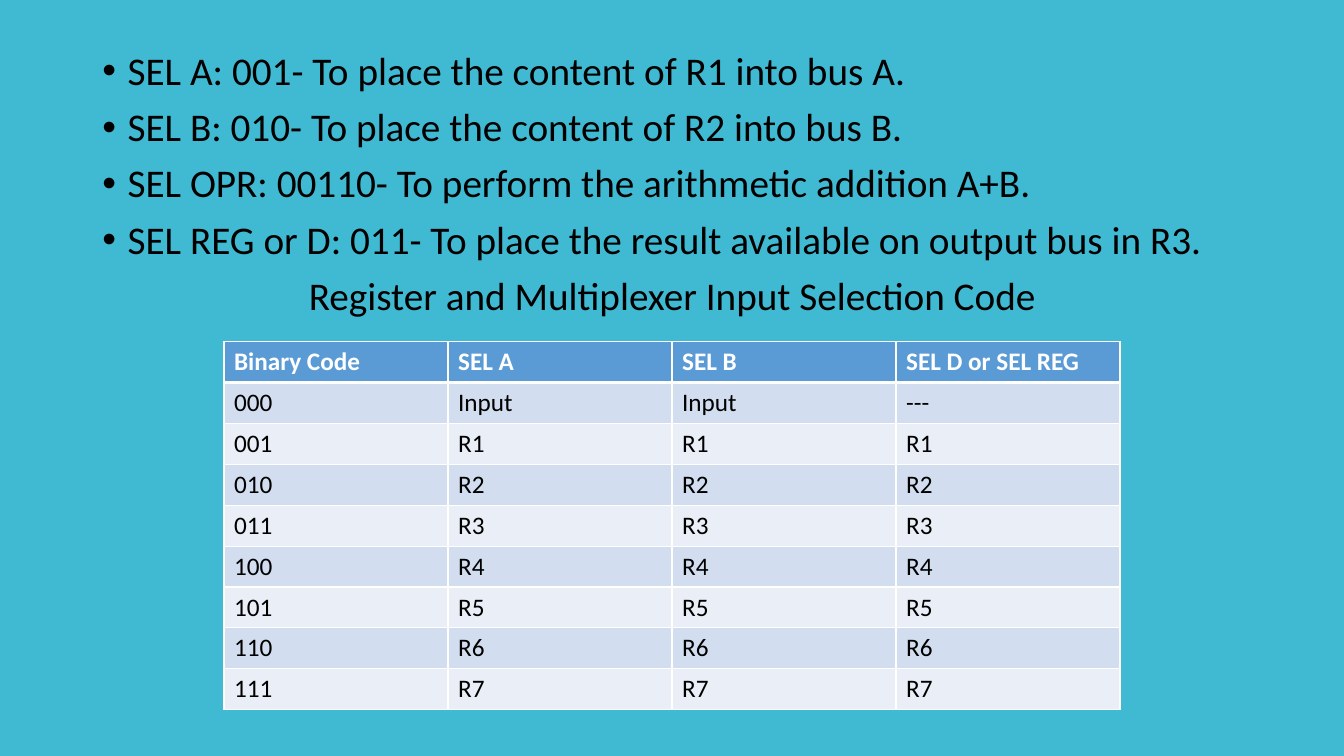
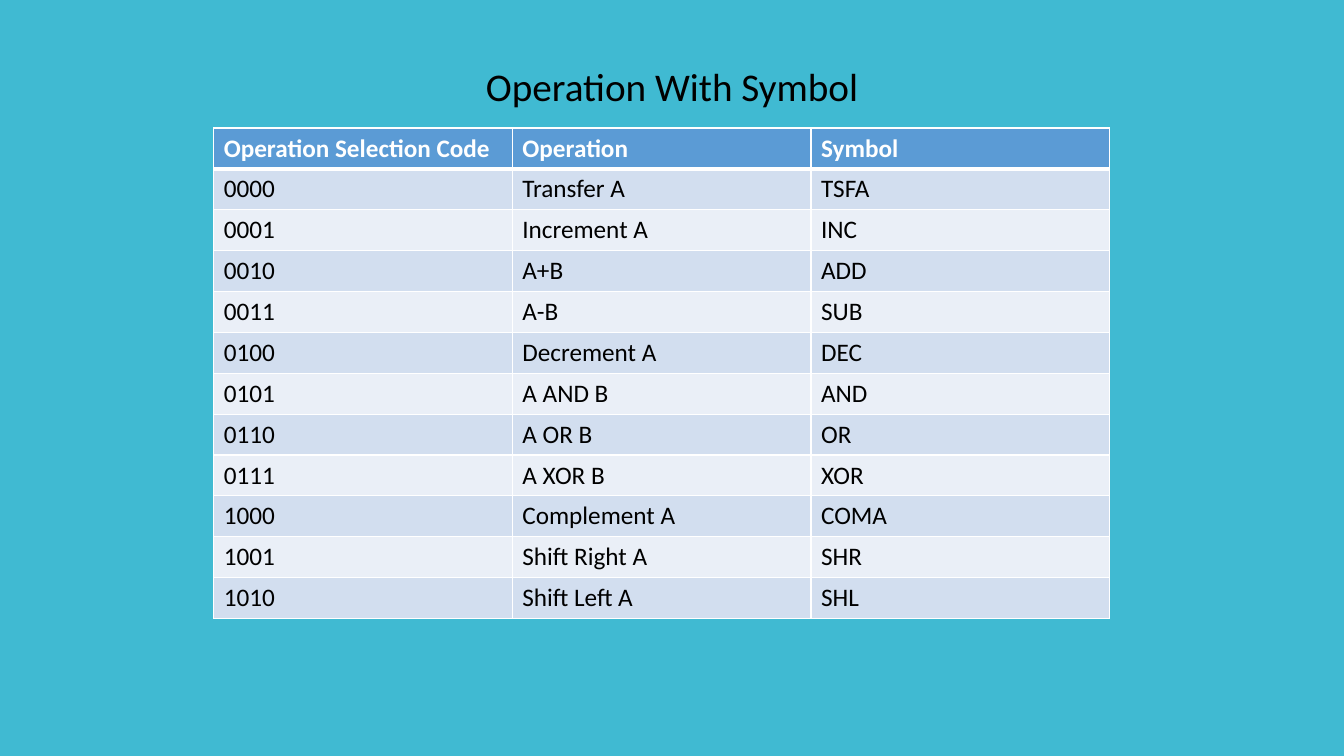
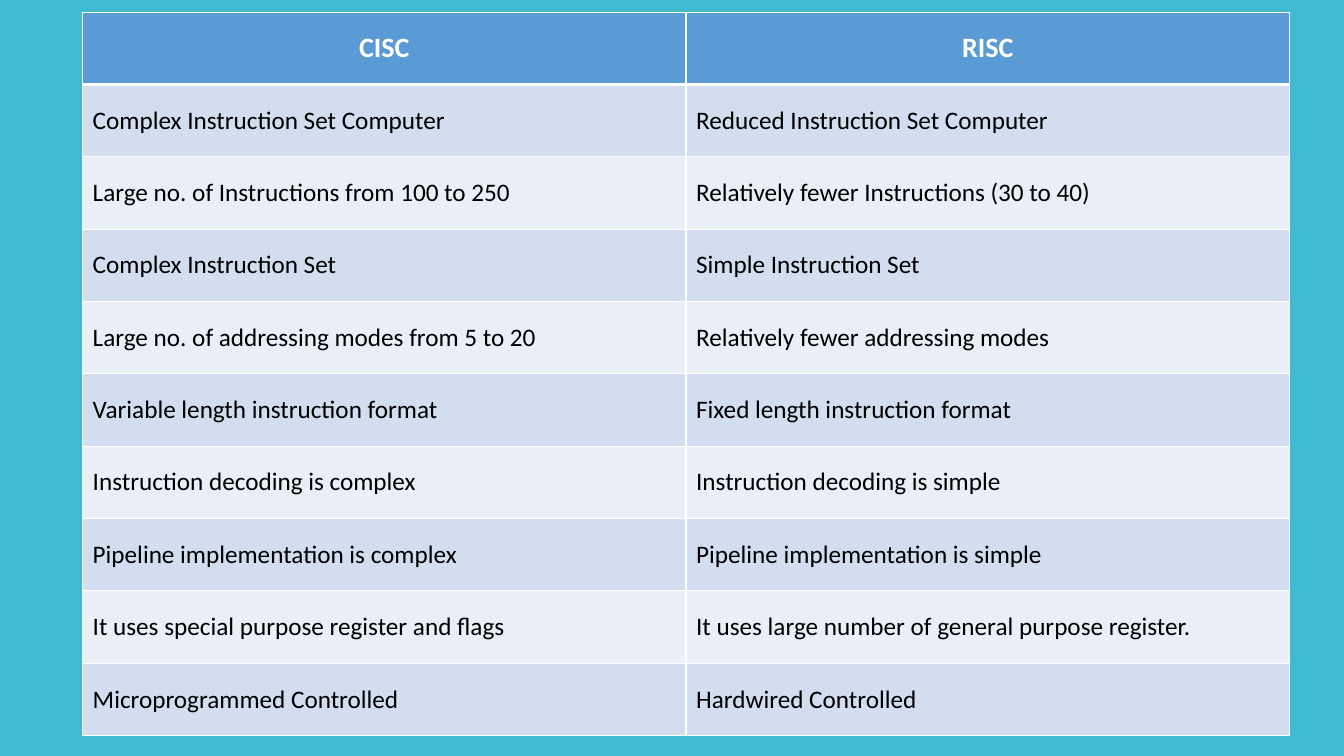
from lxml.etree import SubElement
from pptx import Presentation
from pptx.dml.color import RGBColor
from pptx.enum.text import MSO_ANCHOR, PP_ALIGN
from pptx.oxml import parse_xml
from pptx.oxml.ns import nsdecls, qn
from pptx.util import Inches, Pt

COLORS = {
    "background": "40BAD2",
    "header": "5B9BD5",
    "odd_row": "D2DEEF",
    "even_row": "EAEFF7",
    "light": "FFFFFF",
    "text": "000000",
}

REGISTER_CODES = [
    ("Binary Code", "SEL A", "SEL B", "SEL D or SEL REG"),
    ("000", "Input", "Input", "---"),
    *((f"{number:03b}", *[f"R{number}"] * 3) for number in range(1, 8)),
]

OPERATIONS = [
    ("Transfer A", "TSFA"),
    ("Increment A", "INC"),
    ("A+B", "ADD"),
    ("A-B", "SUB"),
    ("Decrement A", "DEC"),
    ("A AND B", "AND"),
    ("A OR B", "OR"),
    ("A XOR B", "XOR"),
    ("Complement A", "COMA"),
    ("Shift Right A", "SHR"),
    ("Shift Left A", "SHL"),
]

OPERATION_CODES = [
    ("Operation Selection Code", "Operation", "Symbol"),
    *((f"{code:04b}", *operation) for code, operation in enumerate(OPERATIONS)),
]

ARCHITECTURES = [
    ("CISC", "RISC"),
    ("Complex Instruction Set Computer", "Reduced Instruction Set Computer"),
    ("Large no. of Instructions from 100 to 250", "Relatively fewer Instructions (30 to 40)"),
    ("Complex Instruction Set", "Simple Instruction Set"),
    ("Large no. of addressing modes from 5 to 20", "Relatively fewer addressing modes"),
    ("Variable length instruction format", "Fixed length instruction format"),
    ("Instruction decoding is complex", "Instruction decoding is simple"),
    ("Pipeline implementation is complex", "Pipeline implementation is simple"),
    ("It uses special purpose register and flags", "It uses large number of general purpose register."),
    ("Microprogrammed Controlled", "Hardwired Controlled"),
]


class Deck:
    """Shared style and current page; lengths are percentages of the slide's size."""

    font = "Calibri"
    body_size = 28
    cell_size = 18

    def __init__(self):
        self.presentation = Presentation()
        self.presentation.slide_width = Inches(13.33)
        self.presentation.slide_height = Inches(7.5)
        self.page = None

    def across(self, percent):
        return round(self.presentation.slide_width * percent / 100)

    def down(self, percent):
        return round(self.presentation.slide_height * percent / 100)

    def new_page(self):
        self.page = self.presentation.slides.add_slide(self.presentation.slide_layouts[6])
        fill = self.page.background.fill
        fill.solid()
        fill.fore_color.rgb = RGBColor.from_string(COLORS["background"])

    def span(self, para, text, size, color="text", bold=False):
        span = para.add_run()
        span.text = text
        span.font.name = self.font
        span.font.size = Pt(size)
        span.font.bold = bold
        span.font.color.rgb = RGBColor.from_string(COLORS[color])

    def bullet(self, para):
        properties = para._p.get_or_add_pPr()
        properties.set("marL", str(Inches(0.25)))
        properties.set("indent", str(-Inches(0.25)))
        SubElement(properties, qn("a:buFont"), typeface="Arial")
        SubElement(properties, qn("a:buChar"), char="•")

    def body(self, top, height, caption, points=()):
        """Add bulleted points followed by a centred caption."""
        box = self.page.shapes.add_textbox(
            self.across(6.88), self.down(top), self.across(86.25), self.down(height))
        frame = box.text_frame
        frame.word_wrap = True
        for index, text in enumerate([*points, caption]):
            para = frame.add_paragraph() if index else frame.paragraphs[0]
            para.line_spacing = 0.9
            para.space_before = Pt(10)
            if index < len(points):
                self.bullet(para)
            else:
                para.alignment = PP_ALIGN.CENTER
            self.span(para, text, self.body_size)

    def borders(self, cell, top, bottom):
        """Draw white cell edges, with top and bottom widths in points."""
        properties = cell._tc.get_or_add_tcPr()
        widths = {"lnL": 1, "lnR": 1, "lnT": top, "lnB": bottom}
        for position, (edge, width) in enumerate(widths.items()):
            properties.insert(position, parse_xml(
                f'<a:{edge} {nsdecls("a")} w="{Pt(width)}"><a:solidFill>'
                f'<a:srgbClr val="{COLORS["light"]}"/></a:solidFill></a:{edge}>'))

    def table(self, records, left, top, width, row_height,
              header_size=cell_size, header_align=None, anchor=MSO_ANCHOR.TOP):
        row_count, column_count = len(records), len(records[0])
        table = self.page.shapes.add_table(
            row_count, column_count, self.across(left), self.down(top),
            self.across(width), self.down(row_height * row_count)).table
        for column in table.columns:
            column.width = self.across(width / column_count)
        for row_index, record in enumerate(records):
            table.rows[row_index].height = self.down(row_height)
            is_header = row_index == 0
            fill = "header" if is_header else "odd_row" if row_index % 2 else "even_row"
            for column_index, text in enumerate(record):
                cell = table.cell(row_index, column_index)
                cell.vertical_anchor = anchor
                cell.fill.solid()
                cell.fill.fore_color.rgb = RGBColor.from_string(COLORS[fill])
                self.borders(cell, top=3 if row_index == 1 else 1, bottom=3 if is_header else 1)
                para = cell.text_frame.paragraphs[0]
                if is_header:
                    para.alignment = header_align
                    self.span(para, text, header_size, "light", bold=True)
                else:
                    self.span(para, text, self.cell_size)


def main():
    deck = Deck()

    deck.new_page()
    deck.body(6.13, 91.47, "Register and Multiplexer Input Selection Code", [
        "SEL A: 001- To place the content of R1 into bus A.",
        "SEL B: 010- To place the content of R2 into bus B.",
        "SEL OPR: 00110- To perform the arithmetic addition A+B.",
        "SEL REG or D: 011- To place the result available on output bus in R3.",
    ])
    deck.table(REGISTER_CODES, 16.67, 45.2, 66.67, 5.41)

    deck.new_page()
    deck.body(8.27, 81.6, "Operation With Symbol")
    deck.table(OPERATION_CODES, 15.9, 16.93, 66.67, 5.41)

    deck.new_page()
    deck.table(ARCHITECTURES, 6.15, 1.6, 89.8, 9.57, header_size=20,
               header_align=PP_ALIGN.CENTER, anchor=MSO_ANCHOR.MIDDLE)

    deck.presentation.save("out.pptx")


if __name__ == "__main__":
    main()
